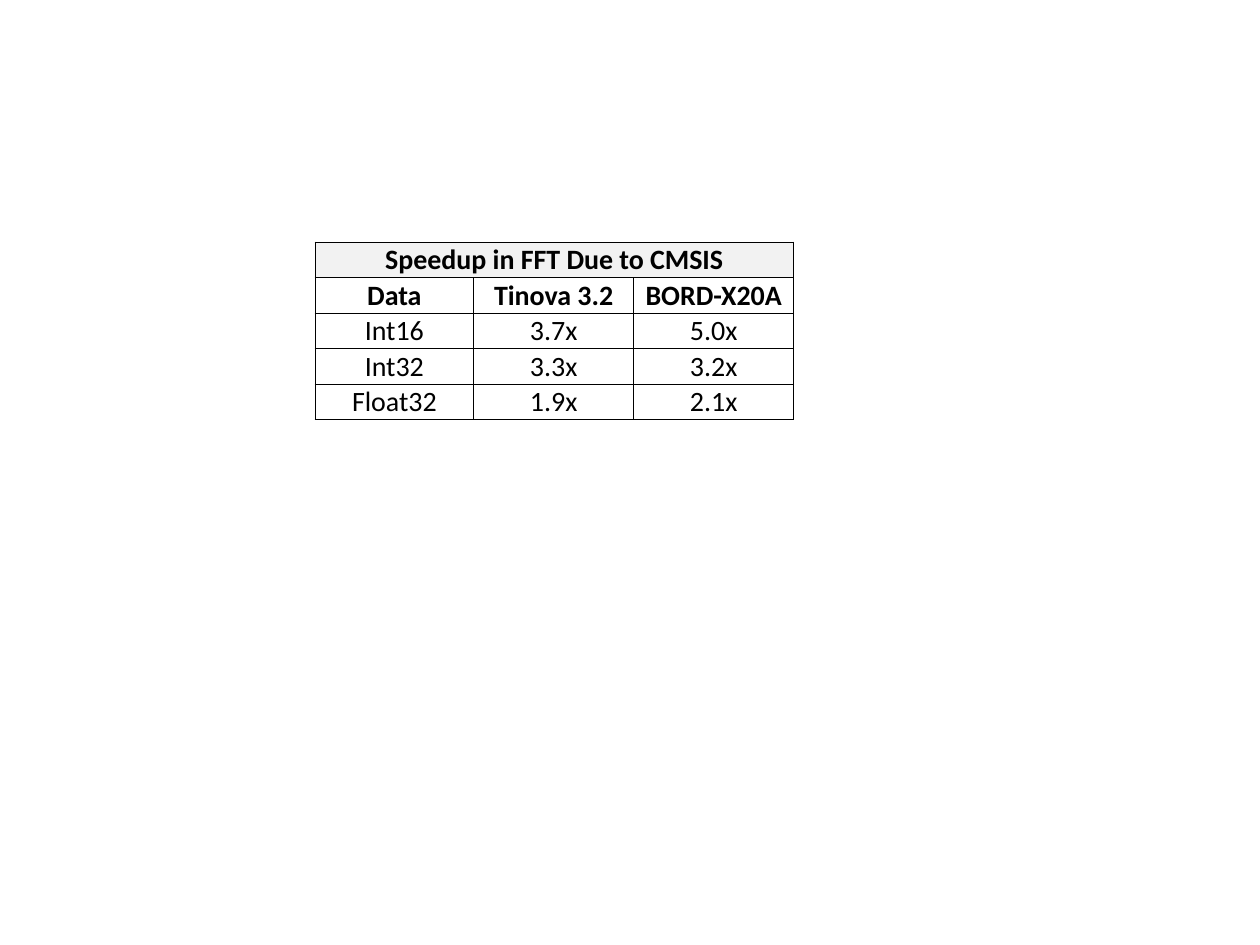
from lxml import etree
from pptx import Presentation
from pptx import util as u
from pptx.dml.color import RGBColor
from pptx.enum import text
from pptx.oxml import ns

COLORS = {"ink": "000000", "title": "F2F2F2", "body": "FFFFFF"}
SPEEDUPS = [
    ["Speedup in FFT Due to CMSIS", "", ""],
    ["Data", "Tinova 3.2", "BORD-X20A"],
    ["Int16", "3.7x", "5.0x"],
    ["Int32", "3.3x", "3.2x"],
    ["Float32", "1.9x", "2.1x"],
]
HEADING_ROWS = 2
COLUMN_WIDTHS = [1.26, 1.27, 1.27]
CELL_FORMAT = {
    "margin_left": u.Inches(0.01),
    "margin_right": u.Inches(0.01),
    "margin_top": u.Inches(0.01),
    "margin_bottom": 0,
    "vertical_anchor": text.MSO_ANCHOR.BOTTOM,
}


def add_borders(cell):
    properties = cell._tc.get_or_add_tcPr()
    for side in ("lnL", "lnR", "lnT", "lnB"):
        border = etree.SubElement(properties, ns.qn(f"a:{side}"), w=str(u.Pt(0.5)))
        fill = etree.SubElement(border, ns.qn("a:solidFill"))
        etree.SubElement(fill, ns.qn("a:srgbClr"), val=COLORS["ink"])


def format_cell(cell, fill, bold):
    for name, value in CELL_FORMAT.items():
        setattr(cell, name, value)
    add_borders(cell)
    cell.fill.solid()
    cell.fill.fore_color.rgb = RGBColor.from_string(COLORS[fill])
    paragraph = cell.text_frame.paragraphs[0]
    paragraph.alignment = text.PP_ALIGN.CENTER
    for name, value in {"name": "Calibri", "size": u.Pt(16), "bold": bold}.items():
        setattr(paragraph.font, name, value)
        for run in paragraph.runs:
            setattr(run.font, name, value)
    for run in paragraph.runs:
        run.font.color.rgb = RGBColor.from_string(COLORS["ink"])


def add_speedup_table(slide):
    table = slide.shapes.add_table(
        len(SPEEDUPS), len(COLUMN_WIDTHS),
        u.Inches(2.5), u.Inches(1.92), u.Inches(sum(COLUMN_WIDTHS)), u.Inches(1.39),
    ).table
    table.first_row = table.horz_banding = False
    for column, width in zip(table.columns, COLUMN_WIDTHS):
        column.width = u.Inches(width)
    for r, labels in enumerate(SPEEDUPS):
        for c, label in enumerate(labels):
            cell = table.cell(r, c)
            cell.text = label
            format_cell(cell, "body" if r else "title", r < HEADING_ROWS)
    table.cell(0, 0).merge(table.cell(0, len(COLUMN_WIDTHS) - 1))


def main():
    deck = Presentation()
    deck.slide_width, deck.slide_height = u.Inches(10), u.Inches(7.5)
    slide = deck.slides.add_slide(deck.slide_layouts[6])
    add_speedup_table(slide)
    deck.save("out.pptx")


if __name__ == "__main__":
    main()
